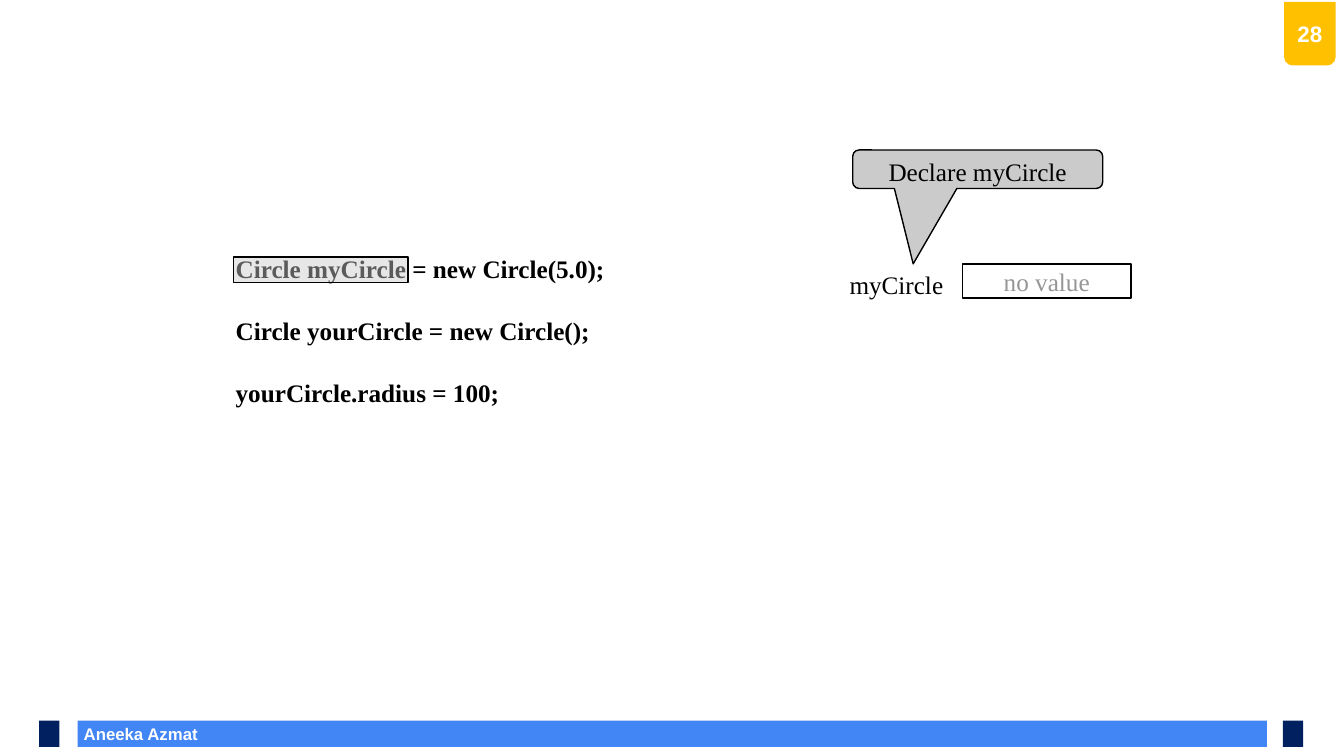
from dataclasses import dataclass
from typing import Optional

from lxml.etree import SubElement
from pptx import Presentation
from pptx.dml.color import RGBColor
from pptx.enum.shapes import MSO_SHAPE
from pptx.enum.text import MSO_ANCHOR, PP_ALIGN
from pptx.oxml.ns import qn
from pptx.util import Cm, Pt

BLACK = RGBColor(0x00, 0x00, 0x00)
WHITE = RGBColor(0xFF, 0xFF, 0xFF)
AMBER = RGBColor(0xFF, 0xC0, 0x00)
BLUE = RGBColor(0x42, 0x85, 0xF4)
NAVY = RGBColor(0x00, 0x20, 0x60)
SILVER = RGBColor(0xCB, 0xCB, 0xCB)
GRAY = RGBColor(0x96, 0x96, 0x96)

SERIF = {"name": "Times New Roman", "size": Pt(18), "bold": False}
CODE = {**SERIF, "bold": True}
SANS = {"name": "Arial", "size": Pt(12), "bold": True}


@dataclass(frozen=True)
class Text:
    lines: tuple[str, ...]
    font: dict
    color: RGBColor = BLACK
    align: PP_ALIGN = PP_ALIGN.LEFT
    anchor: MSO_ANCHOR = MSO_ANCHOR.TOP
    gap: float = 0  # points between lines
    inset: Optional[float] = None  # cm, on the left and right
    wrap: bool = True


@dataclass(frozen=True)
class Item:
    box: tuple[float, float, float, float]  # left, top, width, height in cm
    shape: Optional[MSO_SHAPE] = None  # None is a text box
    fill: Optional[RGBColor] = None
    alpha: Optional[int] = None  # opacity in percent
    line: Optional[RGBColor] = None
    adjustments: tuple[float, ...] = ()
    rotation: float = 0
    text: Optional[Text] = None


def write_text(sp, text: Text) -> None:
    tf = sp.text_frame
    frame_format = {"word_wrap": text.wrap, "vertical_anchor": text.anchor}
    if text.inset is not None:
        frame_format.update(margin_left=Cm(text.inset), margin_right=Cm(text.inset))
    for name, value in frame_format.items():
        setattr(tf, name, value)
    for i, line in enumerate(text.lines):
        p = tf.add_paragraph() if i else tf.paragraphs[0]
        p.alignment = text.align
        if i:
            p.space_before = Pt(text.gap)
        r = p.add_run()
        r.text = line
        for name, value in text.font.items():
            setattr(r.font, name, value)
        r.font.color.rgb = text.color


def style_shape(sp, item: Item) -> None:
    sp.shadow.inherit = False
    sp.rotation = item.rotation
    for i, value in enumerate(item.adjustments):
        sp.adjustments[i] = value
    if item.fill is None:
        sp.fill.background()
    else:
        sp.fill.solid()
        sp.fill.fore_color.rgb = item.fill
    if item.alpha is not None:
        color = sp.fill._xPr.find(qn("a:solidFill"))[0]
        SubElement(color, qn("a:alpha"), val=str(item.alpha * 1000))
    if item.line is None:
        sp.line.fill.background()
    else:
        sp.line.color.rgb = item.line
        sp.line.width = Pt(1)


def draw(s, item: Item) -> None:
    box = [Cm(v) for v in item.box]
    if item.shape is None:
        sp = s.shapes.add_textbox(*box)
    else:
        sp = s.shapes.add_shape(item.shape, *box)
        style_shape(sp, item)
    if item.text:
        write_text(sp, item.text)


BADGE = (32.36, 0.05, 1.3, 1.6)
FOOTER_TOP, FOOTER_HEIGHT = 18.16, 0.66

# Page number badge
badge = [
    Item(BADGE, MSO_SHAPE.ROUND_2_SAME_RECTANGLE, AMBER, rotation=180),
    Item(BADGE, text=Text(("28",), {**SANS, "size": Pt(16)}, WHITE,
                          PP_ALIGN.CENTER, MSO_ANCHOR.MIDDLE)),
]

# Footer bar with a square at each end
footer = [
    Item((1.96, FOOTER_TOP, 29.97, FOOTER_HEIGHT), MSO_SHAPE.RECTANGLE, BLUE,
         text=Text(("Aneeka Azmat",), SANS, WHITE, anchor=MSO_ANCHOR.MIDDLE, inset=0.15)),
    *(Item((left, FOOTER_TOP, 0.51, FOOTER_HEIGHT), MSO_SHAPE.RECTANGLE, NAVY)
      for left in (0.99, 32.33)),
]

# Code with the declaration highlighted
code = [
    Item((5.69, 6.27, 13.34, 4.06), text=Text((
        "Circle myCircle = new Circle(5.0);",
        "Circle yourCircle = new Circle();",
        "yourCircle.radius = 100;",
    ), CODE, gap=22.5)),
    Item((5.89, 6.48, 4.39, 0.64), MSO_SHAPE.RECTANGLE, SILVER, 45, BLACK),
]

# Variable and its callout
variable = [
    Item((21.49, 3.78, 6.3, 0.97), MSO_SHAPE.ROUNDED_RECTANGULAR_CALLOUT, SILVER,
         line=BLACK, adjustments=(-0.258, 2.459, 0.167),
         text=Text(("Declare myCircle",), SERIF, align=PP_ALIGN.CENTER)),
    Item((24.26, 6.65, 4.24, 0.86), MSO_SHAPE.RECTANGLE, line=BLACK,
         text=Text(("no value",), SERIF, GRAY, PP_ALIGN.CENTER,
                   MSO_ANCHOR.MIDDLE, inset=0.03, wrap=False)),
    Item((21.16, 6.65, 3.15, 1.02), text=Text(("myCircle",), SERIF)),
]


def main() -> None:
    prs = Presentation()
    prs.slide_width, prs.slide_height = Cm(33.87), Cm(19.05)
    s = prs.slides.add_slide(prs.slide_layouts[6])
    for item in badge + footer + code + variable:
        draw(s, item)
    prs.save("out.pptx")


if __name__ == "__main__":
    main()
